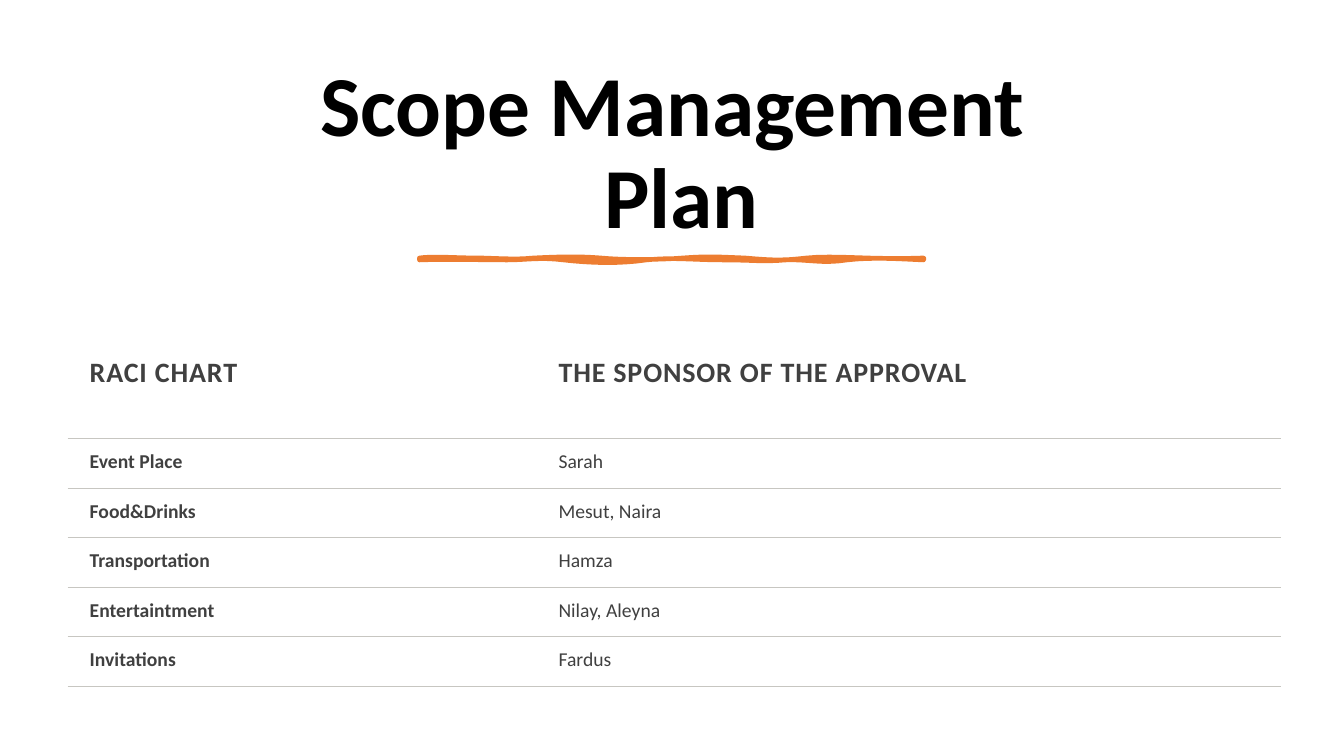
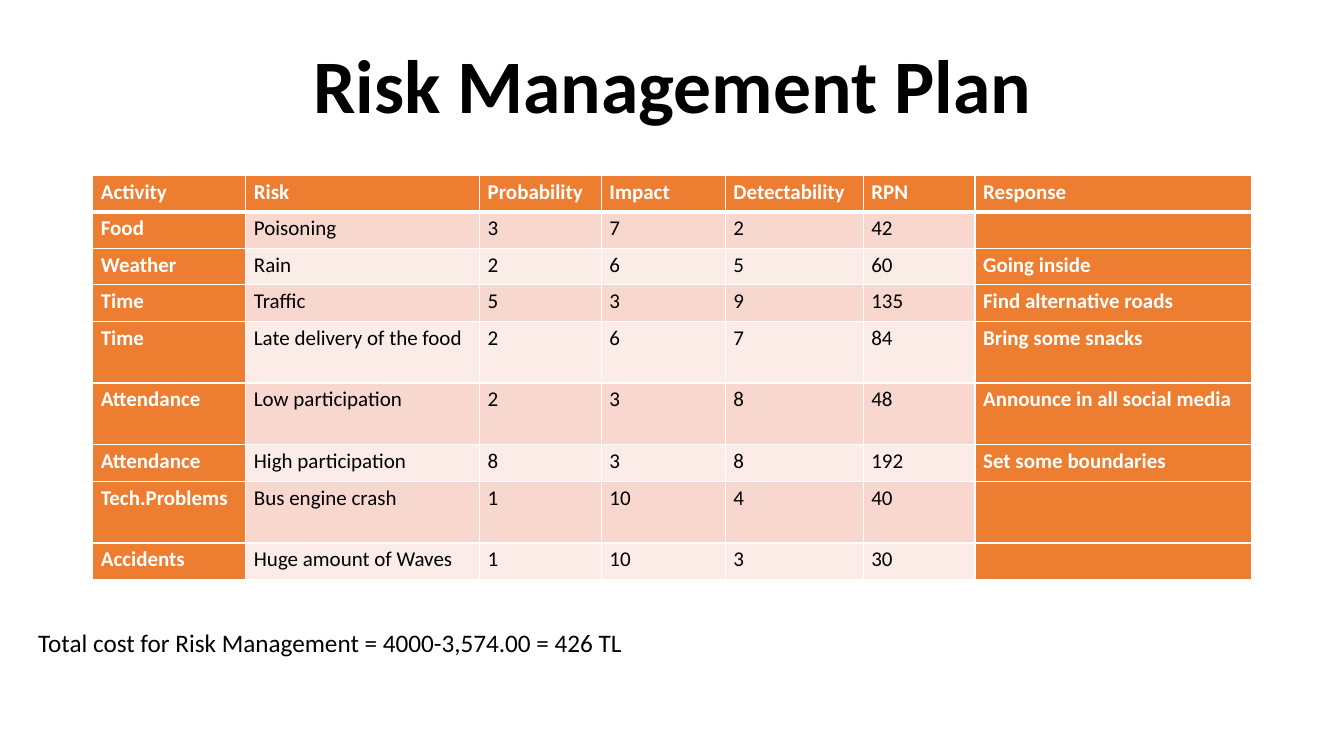
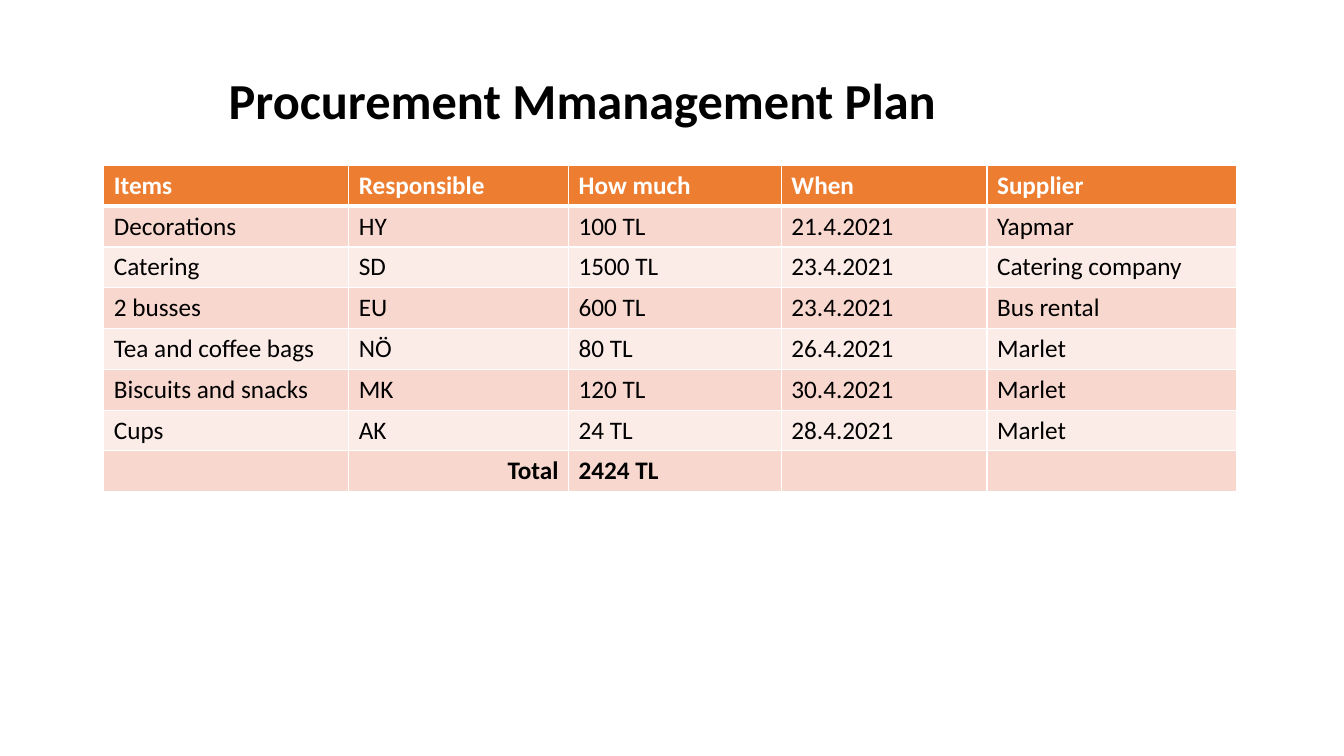
from lxml.etree import SubElement
from pptx import Presentation
from pptx.dml.color import RGBColor
from pptx.enum.text import MSO_ANCHOR as Anchor, PP_ALIGN as Align
from pptx.oxml.ns import qn
from pptx.util import Emu, Inches, Pt

FONT = "Calibri"
BLACK, WHITE, GREY, RULE = "000000", "FFFFFF", "404040", "C7C6C1"
ORANGE, BANDS = "ED7D31", ("F8D7CE", "FCECE8")
NO_STYLE = "{2D5ABB26-0587-4C30-8999-92F81FD0307C}"

SCOPE = [
    ("RACI CHART", "THE SPONSOR OF THE APPROVAL"),
    ("Event Place", "Sarah"),
    ("Food&Drinks", "Mesut, Naira"),
    ("Transportation", "Hamza"),
    ("Entertaintment", "Nilay, Aleyna"),
    ("Invitations", "Fardus"),
]
RISKS = [
    ("Activity", "Risk", "Probability", "Impact", "Detectability", "RPN", "Response"),
    ("Food", "Poisoning", "3", "7", "2", "42", ""),
    ("Weather", "Rain", "2", "6", "5", "60", "Going inside"),
    ("Time", "Traffic", "5", "3", "9", "135", "Find alternative roads"),
    ("Time", "Late delivery of the food", "2", "6", "7", "84", "Bring some snacks"),
    ("Attendance", "Low participation", "2", "3", "8", "48", "Announce in all social media"),
    ("Attendance", "High participation", "8", "3", "8", "192", "Set some boundaries"),
    ("Tech.Problems", "Bus engine crash", "1", "10", "4", "40", ""),
    ("Accidents", "Huge amount of Waves", "1", "10", "3", "30", ""),
]
PURCHASES = [
    ("Items", "Responsible", "How much", "When", "Supplier"),
    ("Decorations", "HY", "100 TL", "21.4.2021", "Yapmar"),
    ("Catering", "SD", "1500 TL", "23.4.2021", "Catering company"),
    ("2 busses", "EU", "600 TL", "23.4.2021", "Bus rental"),
    ("Tea and coffee bags", "NÖ", "80 TL", "26.4.2021", "Marlet"),
    ("Biscuits and snacks", "MK", "120 TL", "30.4.2021", "Marlet"),
    ("Cups", "AK", "24 TL", "28.4.2021", "Marlet"),
    ("", "Total", "2424 TL", "", ""),
]

# Brush stroke: start point, then cubic segments (two handles and an end), in inches.
STROKE_START = (4.16, 2.56)
STROKE_CURVES = [
    (4.28, 2.54, 4.54, 2.56, 4.73, 2.56), (4.92, 2.56, 5.09, 2.58, 5.29, 2.56),
    (5.49, 2.55, 5.74, 2.54, 5.96, 2.56), (6.17, 2.58, 6.53, 2.58, 6.77, 2.56),
    (7.02, 2.54, 7.14, 2.55, 7.39, 2.56), (7.63, 2.58, 7.74, 2.59, 8, 2.56),
    (8.26, 2.53, 8.67, 2.58, 9.16, 2.56), (9.17, 2.57, 9.16, 2.57, 9.16, 2.58),
    (8.95, 2.57, 8.65, 2.55, 8.4, 2.58), (8.15, 2.62, 8.01, 2.57, 7.79, 2.58),
    (7.56, 2.6, 7.47, 2.58, 7.17, 2.58), (6.87, 2.58, 6.67, 2.55, 6.41, 2.58),
    (6.14, 2.62, 5.85, 2.61, 5.59, 2.58), (5.34, 2.55, 5.23, 2.58, 5.03, 2.58),
    (4.83, 2.58, 4.38, 2.57, 4.16, 2.58), (4.16, 2.58, 4.16, 2.57, 4.16, 2.56),
]


def color(value):
    return RGBColor.from_string(value)


def set_font(font, size, tint, bold):
    for name, value in dict(name=FONT, size=Pt(size), bold=bold).items():
        setattr(font, name, value)
    font.color.rgb = color(tint)


def add_text(page, at, text, size, bold=False, wrap=True):
    box = page.shapes.add_textbox(*map(Inches, at))
    box.text_frame.word_wrap = wrap
    para = box.text_frame.paragraphs[0]
    para.text = text
    for span in para.runs:
        set_font(span.font, size, BLACK, bold)
    return box


def add_title(page, at, text, size):
    frame = add_text(page, at, text, size, bold=True).text_frame
    frame.vertical_anchor = Anchor.BOTTOM
    for name, value in dict(alignment=Align.CENTER, line_spacing=0.9,
                            space_after=Pt(6)).items():
        setattr(frame.paragraphs[0], name, value)


def add_stroke(page, start, curves, steps=8):
    """Draw the hand-made underline as a filled outline through sampled curves."""
    points, (x0, y0) = [], start
    for x1, y1, x2, y2, x3, y3 in curves:
        for step in range(1, steps + 1):
            t = step / steps
            weights = ((1 - t) ** 3, 3 * t * (1 - t) ** 2, 3 * t * t * (1 - t), t ** 3)
            points.append(tuple(
                Inches(sum(w * v for w, v in zip(weights, axis)))
                for axis in ((x0, x1, x2, x3), (y0, y1, y2, y3))))
        x0, y0 = x3, y3
    builder = page.shapes.build_freeform(*map(Inches, start), scale=1.0)
    builder.add_line_segments(points, close=True)
    stroke = builder.convert_to_shape()
    stroke.shadow.inherit = False
    stroke.fill.solid()
    stroke.fill.fore_color.rgb = color(ORANGE)
    stroke.line.color.rgb = color(ORANGE)
    stroke.line.width = Pt(3.25)


def add_border(cell, side, width, tint):
    line = SubElement(cell._tc.get_or_add_tcPr(), qn(f"a:ln{side}"), w=str(Pt(width)))
    if width:
        fill = SubElement(line, qn("a:solidFill"))
        SubElement(fill, qn("a:srgbClr"), val=tint)
    else:
        SubElement(line, qn("a:noFill"))


def add_grid(page, at, rows, col_shares, row_shares, look, rules, side=0,
             rule_tint=WHITE, margins=(0.1, 0.05, 0.1, 0.05)):
    """look(row, col) gives the format of a cell; rules are the widths of the row lines."""
    left, top, width, height = at
    table = page.shapes.add_table(len(rows), len(rows[0]), *map(Inches, at)).table
    table._tbl.tblPr.find(qn("a:tableStyleId")).text = NO_STYLE
    for column, share in zip(table.columns, col_shares):
        column.width = Emu(int(Inches(width) * share / sum(col_shares)))
    for line, share in zip(table.rows, row_shares):
        line.height = Emu(int(Inches(height) * share / sum(row_shares)))
    for r, texts in enumerate(rows):
        for c, text in enumerate(texts):
            cell, style = table.cell(r, c), look(r, c)
            for name, value in zip(("left", "top", "right", "bottom"), margins):
                setattr(cell, f"margin_{name}", Inches(value))
            for edge, weight in zip("LRTB", (side, side, rules[r], rules[r + 1])):
                add_border(cell, edge, weight, rule_tint)
            if style.get("fill"):
                cell.fill.solid()
                cell.fill.fore_color.rgb = color(style["fill"])
            else:
                cell.fill.background()
            para = cell.text_frame.paragraphs[0]
            para.alignment = style.get("align", Align.LEFT)
            if text:
                span = para.add_run()
                span.text = text
                set_font(span.font, style["size"], style["tint"], style["bold"])
                span.font._element.set("spc", str(style.get("spacing", 0)))
            else:
                SubElement(para._p, qn("a:endParaRPr"), sz=str(style["size"] * 100))


def scope_look(row, col):
    head = row == 0
    return dict(size=20 if head else 14, tint=GREY, bold=head or col == 0,
                spacing=60 if head else 0)


def banded_look(row, size, accent):
    if accent:
        return dict(size=size, tint=WHITE, bold=True, fill=ORANGE)
    return dict(size=size, tint=BLACK, bold=False, fill=BANDS[(row - 1) % 2])


def risk_look(row, col):
    return banded_look(row, 15, row == 0 or col in (0, len(RISKS[0]) - 1))


def purchase_look(row, col):
    style = banded_look(row, 18, row == 0)
    if row == len(PURCHASES) - 1:
        style.update(bold=True, align=Align.RIGHT if col == 1 else Align.LEFT)
    return style


def main():
    deck = Presentation()
    deck.slide_width, deck.slide_height = Inches(13.33), Inches(7.5)
    scope, risk, purchase = (deck.slides.add_slide(deck.slide_layouts[6]) for _ in range(3))

    add_title(scope, (0.7, 0.5, 11.93, 2), "Scope Management\v Plan", 61)
    add_stroke(scope, STROKE_START, STROKE_CURVES)
    add_grid(scope, (0.67, 3.42, 12.04, 3.39), SCOPE, (4.65, 7.39),
             [0.93] + [0.49] * 5, scope_look, [0] + [0.75] * 6,
             rule_tint=RULE, margins=(0.22, 0.11, 0.16, 0.11))

    add_title(risk, (0.92, 0.32, 11.5, 1.02), "Risk Management Plan", 54)
    add_grid(risk, (0.92, 1.74, 11.5, 4.01), RISKS,
             (1.52, 2.32, 1.21, 1.23, 1.37, 1.11, 2.75),
             [0.36] * 4 + [0.61] * 2 + [0.36, 0.61, 0.36], risk_look,
             [1, 3] + [1] * 8, side=1, margins=(0.08, 0.04, 0.08, 0.04))
    add_text(risk, (0.28, 6.17, 8.9, 0.4),
             "Total cost for Risk Management = 4000-3,574.00 = 426 TL", 18)

    add_text(purchase, (2.17, 0.64, 7.29, 0.71), "Procurement Mmanagement Plan", 36,
             bold=True, wrap=False)
    add_grid(purchase, (1.03, 1.64, 11.24, 3.24), PURCHASES,
             (2.43, 2.18, 2.11, 2.04, 2.48), [1] * 8, purchase_look,
             [1, 3] + [1] * 7, side=1)

    deck.save("out.pptx")


if __name__ == "__main__":
    main()
